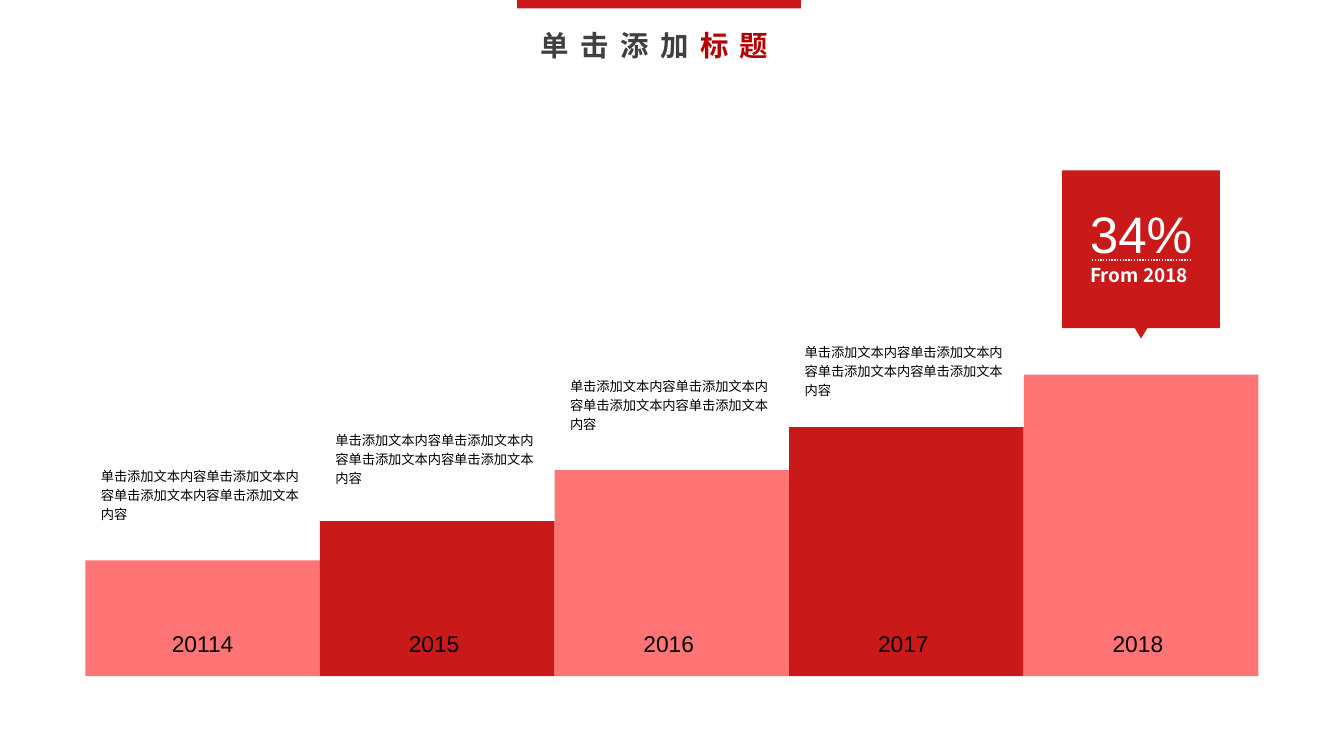
import dataclasses

import lxml.etree
import pptx
import pptx.dml.color
import pptx.enum.dml
import pptx.enum.shapes
import pptx.enum.text
import pptx.oxml.ns
import pptx.util

Pt = pptx.util.Pt
ALIGN = pptx.enum.text.PP_ALIGN
ANCHOR = pptx.enum.text.MSO_ANCHOR
qn = pptx.oxml.ns.qn


@dataclasses.dataclass(frozen=True)
class Theme:
    red: str = "C91919"
    pink: str = "FF7575"
    title_gray: str = "404040"
    title_red: str = "B40000"
    black: str = "000000"
    white: str = "FFFFFF"
    title_font: str = "Calibri"
    number_font: str = "Arial"
    text_font: str = "Noto Sans CJK SC"
    title_size: float = 15
    caption_size: float = 7
    year_size: float = 12
    percent_size: float = 27
    note_size: float = 10


class SlideBuilder:
    def __init__(self, slide, theme):
        self.slide = slide
        self.theme = theme

    def color(self, value):
        return pptx.dml.color.RGBColor.from_string(value)

    def paint(self, shape, color):
        shape.shadow.inherit = False
        shape.fill.solid()
        shape.fill.fore_color.rgb = self.color(color)
        shape.line.fill.background()

    def rectangle(self, left, top, width, height, color):
        kind = pptx.enum.shapes.MSO_SHAPE.RECTANGLE
        box = self.slide.shapes.add_shape(kind, Pt(left), Pt(top), Pt(width), Pt(height))
        self.paint(box, color)

    def outline(self, points, color):
        corners = [(Pt(x), Pt(y)) for x, y in points]
        builder = self.slide.shapes.build_freeform(*corners[0])
        builder.add_line_segments(corners[1:], close=True)
        self.paint(builder.convert_to_shape(), color)

    def span(self, para, text, size, font, color, bold=False, spacing=0):
        span = para.add_run()
        span.text = text
        span.font.size = Pt(size)
        span.font.name = font
        span.font.bold = bold
        span.font.color.rgb = self.color(color)
        properties = span.font._element
        lxml.etree.SubElement(properties, qn("a:ea"), typeface=self.theme.text_font)
        if spacing:
            properties.set("spc", str(spacing * 100))

    def frame(self, box, wrap, anchor=ANCHOR.TOP, side=5, top=3, bottom=3):
        frame = box.text_frame
        frame.word_wrap = wrap
        frame.auto_size = pptx.enum.text.MSO_AUTO_SIZE.NONE
        frame.vertical_anchor = anchor
        frame.margin_left = frame.margin_right = Pt(side)
        frame.margin_top, frame.margin_bottom = Pt(top), Pt(bottom)
        return frame.paragraphs[0]

    def title(self, left, top, width, height, parts):
        box = self.slide.shapes.title
        box.left, box.top, box.width, box.height = Pt(left), Pt(top), Pt(width), Pt(height)
        para = self.frame(box, True)
        para.alignment = ALIGN.LEFT
        for text, color in parts:
            self.span(para, text, self.theme.title_size, self.theme.title_font,
                      color, bold=True, spacing=6)

    def caption(self, left, top, width, height, text):
        box = self.slide.shapes.add_textbox(Pt(left), Pt(top), Pt(width), Pt(height))
        para = self.frame(box, True, ANCHOR.MIDDLE)
        para.line_spacing = 1.2
        self.span(para, text, self.theme.caption_size, self.theme.text_font, self.theme.black)

    def label(self, center, top, width, height, text, size, font, color, inset=3, bold=False):
        box = self.slide.shapes.add_textbox(
            Pt(center - width / 2), Pt(top), Pt(width), Pt(height))
        para = self.frame(box, False, side=0, top=inset, bottom=0)
        para.alignment = ALIGN.CENTER
        self.span(para, text, size, font, color, bold)

    def dotted_line(self, left, right, top, color):
        line = self.slide.shapes.add_connector(
            pptx.enum.shapes.MSO_CONNECTOR.STRAIGHT, Pt(left), Pt(top), Pt(right), Pt(top))
        line.line.color.rgb = self.color(color)
        line.line.width = Pt(0.75)
        line.line.dash_style = pptx.enum.dml.MSO_LINE.ROUND_DOT
        lxml.etree.SubElement(line._element.spPr, qn("a:effectLst"))


def add_steps(page, left, width, base):
    theme = page.theme
    caption = "单击添加文本内容" * 4
    steps = [("20114", 61.1, 242), ("2015 ", 81.7, 223.2), ("2016 ", 108.6, 194.8),
             ("2017 ", 131.2, 176.8), ("2018 ", 158.9, None)]
    for index, (year, height, caption_top) in enumerate(steps):
        step_left = left + index * width
        color = theme.red if index % 2 else theme.pink
        page.rectangle(step_left, base - height, width, height, color)
        page.label(step_left + width / 2, 329, 43, 20, year,
                   theme.year_size, theme.number_font, theme.black)
        if caption_top is not None:
            page.caption(step_left + 3.2, caption_top, 117.4, 36, caption)


def add_callout(page, center):
    theme = page.theme
    top, bottom, half, tip = 89.8, 172.9, 41.6, 3.3
    page.outline([(center - half, top), (center + half, top), (center + half, bottom),
                  (center + tip, bottom), (center, bottom + 5.5),
                  (center - tip, bottom), (center - half, bottom)], theme.red)
    page.label(center, 99.4, 70, 40, "34%", theme.percent_size,
               theme.number_font, theme.white, inset=6.9)
    page.dotted_line(center - 25.9, center + 25.9, 137, theme.white)
    page.label(center, 137.5, 70, 19.5, "From 2018 ", theme.note_size,
               theme.text_font, theme.white, inset=1.6, bold=True)


def main():
    deck = pptx.Presentation()
    deck.slide_width, deck.slide_height = Pt(708.5), Pt(396.7)
    theme = Theme()
    page = SlideBuilder(deck.slides.add_slide(deck.slide_layouts[5]), theme)
    left, width = 45, 123.67
    add_steps(page, left, width, 356.3)
    add_callout(page, left + 4.5 * width)
    page.rectangle(272.6, 0, 149.6, 4.4, theme.red)
    page.title(280, 11.5, 222, 24,
               [("单击添加", theme.title_gray), ("标题", theme.title_red)])
    deck.save("out.pptx")


if __name__ == "__main__":
    main()
